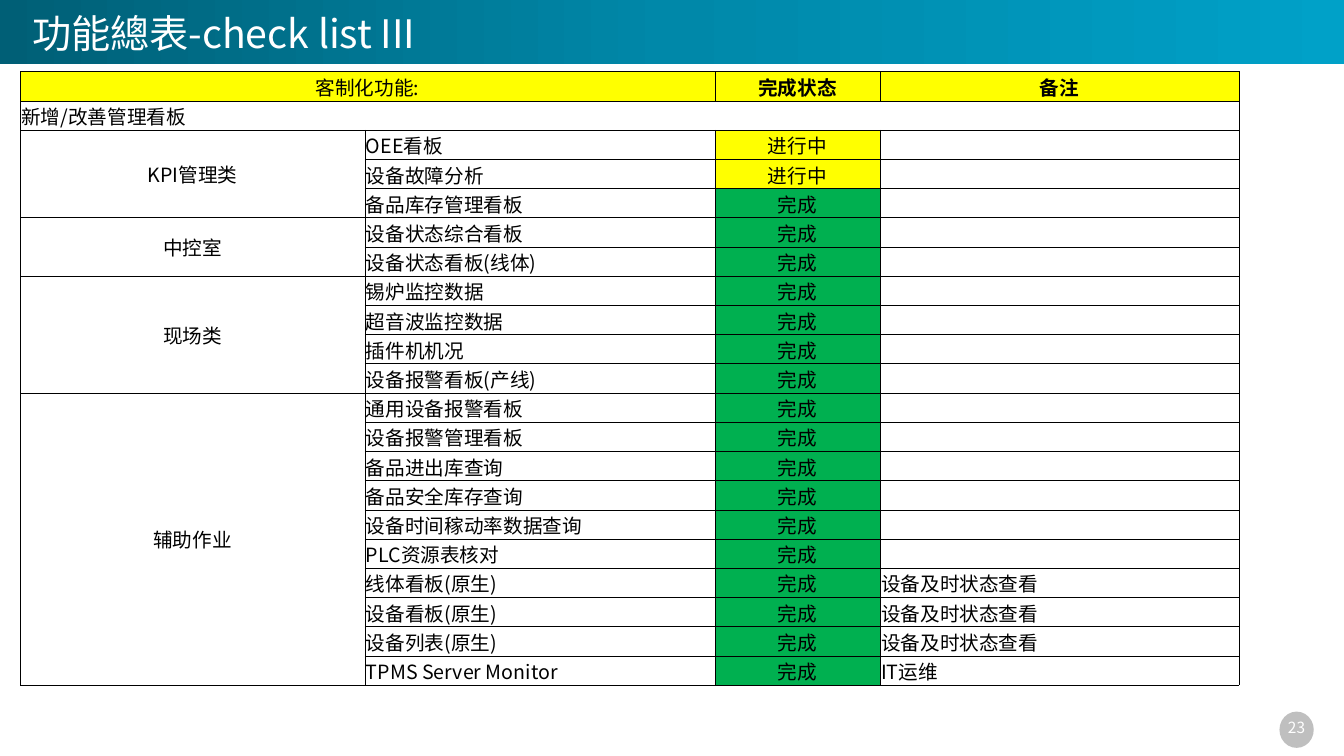
from copy import deepcopy

from pptx import Presentation
from pptx.dml.color import RGBColor
from pptx.enum.shapes import MSO_SHAPE as Shape
from pptx.enum.text import MSO_ANCHOR as Anchor, PP_ALIGN as Align
from pptx.oxml import parse_xml
from pptx.oxml.ns import nsdecls, qn
from pptx.util import Emu, Pt

WHITE, BLACK, YELLOW, GREEN = "FFFFFF", "000000", "FFFF00", "00B050"
DONE, ONGOING = "完成", "进行中"
STATUS_FILLS = {DONE: GREEN, ONGOING: YELLOW}
LIVE_STATUS = "设备及时状态查看"
COLUMNS = [342, 347, 164, 356]
ROW_HEIGHT = 29
GROUPS = [
    ("KPI管理类", [
        ("OEE看板", ONGOING, ""),
        ("设备故障分析", ONGOING, ""),
        ("备品库存管理看板", DONE, ""),
    ]),
    ("中控室", [
        ("设备状态综合看板", DONE, ""),
        ("设备状态看板(线体)", DONE, ""),
    ]),
    ("现场类", [
        ("锡炉监控数据", DONE, ""),
        ("超音波监控数据", DONE, ""),
        ("插件机机况", DONE, ""),
        ("设备报警看板(产线)", DONE, ""),
    ]),
    ("辅助作业", [
        ("通用设备报警看板", DONE, ""),
        ("设备报警管理看板", DONE, ""),
        ("备品进出库查询", DONE, ""),
        ("备品安全库存查询", DONE, ""),
        ("设备时间稼动率数据查询", DONE, ""),
        ("PLC资源表核对", DONE, ""),
        ("线体看板(原生)", DONE, LIVE_STATUS),
        ("设备看板(原生)", DONE, LIVE_STATUS),
        ("设备列表(原生)", DONE, LIVE_STATUS),
        ("TPMS Server Monitor", DONE, "IT运维"),
    ]),
]


def px(length):
    return Emu(length * 9144)


def color(value):
    return RGBColor.from_string(value)


class SlideBuilder:
    """Draws styled elements on the current slide."""

    font = "Noto Sans CJK SC"
    cell_size = 14
    border_width = Pt(0.25)

    def __init__(self, slide):
        self.slide = slide

    def shape(self, kind, box, fills):
        shape = self.slide.shapes.add_shape(kind, *map(px, box))
        shape.shadow.inherit = False
        shape.line.fill.background()
        if len(fills) == 1:
            shape.fill.solid()
            shape.fill.fore_color.rgb = color(fills[0])
            return
        shape.fill.gradient()
        shape.fill.gradient_angle = 0
        stop_list = next(shape._element.spPr.iter(qn("a:gsLst")))
        for _ in fills[2:]:
            stop_list.insert(1, deepcopy(stop_list[0]))
        for index, stop in enumerate(shape.fill.gradient_stops):
            stop.color.rgb = color(fills[index])
            stop.position = index / (len(fills) - 1)

    def run(self, paragraph, text, size, fill, bold=False):
        run = paragraph.add_run()
        run.text = text
        run.font.name = self.font
        run.font.size = Pt(size)
        run.font.bold = bold
        run.font.color.rgb = color(fill)
        properties = run._r.get_or_add_rPr()
        properties.append(parse_xml(f'<a:ea {nsdecls("a")} typeface="{self.font}"/>'))

    def text(self, box, text, size, align=Align.LEFT, wrap=True, spacing=1.0):
        frame = self.slide.shapes.add_textbox(*map(px, box)).text_frame
        frame.word_wrap = wrap
        frame.vertical_anchor = Anchor.MIDDLE
        paragraph = frame.paragraphs[0]
        paragraph.alignment = align
        paragraph.line_spacing = spacing
        self.run(paragraph, text, size, WHITE)

    def table(self, left, top, columns, row_count):
        frame = self.slide.shapes.add_table(
            row_count, len(columns), px(left), px(top),
            px(sum(columns)), px(row_count * ROW_HEIGHT))
        table = frame.table
        table.first_row = table.horz_banding = False
        for column, width in zip(table.columns, columns):
            column.width = px(width)
        for row in table.rows:
            row.height = px(ROW_HEIGHT)
        for cell in table.iter_cells():
            self.empty_cell(cell)
        return table

    def empty_cell(self, cell):
        cell.margin_left = cell.margin_right = cell.margin_top = px(1)
        cell.margin_bottom = 0
        cell.vertical_anchor = Anchor.MIDDLE
        properties = cell._tc.get_or_add_tcPr()
        for side in "LRTB":
            properties.append(parse_xml(
                f'<a:ln{side} {nsdecls("a")} w="{self.border_width}"><a:solidFill>'
                f'<a:srgbClr val="{BLACK}"/></a:solidFill></a:ln{side}>'))
        cell.fill.solid()
        cell.fill.fore_color.rgb = color(WHITE)
        cell.text_frame.paragraphs[0]._p.append(parse_xml(
            f'<a:endParaRPr {nsdecls("a")} sz="{self.cell_size * 100}">'
            f'<a:latin typeface="{self.font}"/><a:ea typeface="{self.font}"/>'
            '</a:endParaRPr>'))

    def cell(self, cell, text, align=Align.LEFT, fill=WHITE, bold=False):
        cell.fill.fore_color.rgb = color(fill)
        if text:
            paragraph = cell.text_frame.paragraphs[0]
            paragraph.alignment = align
            self.run(paragraph, text, self.cell_size, BLACK, bold)


def fill_checklist(builder):
    row_count = 2 + sum(len(items) for _, items in GROUPS)
    table = builder.table(20, 71, COLUMNS, row_count)
    table.cell(0, 0).merge(table.cell(0, 1))
    table.cell(1, 0).merge(table.cell(1, 3))
    for column, heading in ((0, "客制化功能:"), (2, "完成状态"), (3, "备注")):
        builder.cell(table.cell(0, column), heading, Align.CENTER, YELLOW, column > 0)
    builder.cell(table.cell(1, 0), "新增/改善管理看板")
    row = 2
    for group, items in GROUPS:
        table.cell(row, 0).merge(table.cell(row + len(items) - 1, 0))
        builder.cell(table.cell(row, 0), group, Align.CENTER)
        for name, status, remark in items:
            builder.cell(table.cell(row, 1), name)
            builder.cell(table.cell(row, 2), status, Align.CENTER, STATUS_FILLS[status])
            builder.cell(table.cell(row, 3), remark)
            row += 1


def main():
    presentation = Presentation()
    presentation.slide_width, presentation.slide_height = px(1333), px(750)
    builder = SlideBuilder(presentation.slides.add_slide(presentation.slide_layouts[6]))
    builder.shape(Shape.RECTANGLE, (0, 0, 1333, 64), ["005F76", "0088A9", "00A1C8"])
    builder.shape(Shape.OVAL, (1269, 706, 34, 36), ["BFBFBF"])
    builder.text((1233, 708, 106, 28), "23", 11, Align.CENTER)
    fill_checklist(builder)
    builder.text((22, 9, 413, 52), "功能總表-check list III", 28, wrap=False, spacing=0.9)
    presentation.save("out.pptx")


if __name__ == "__main__":
    main()
